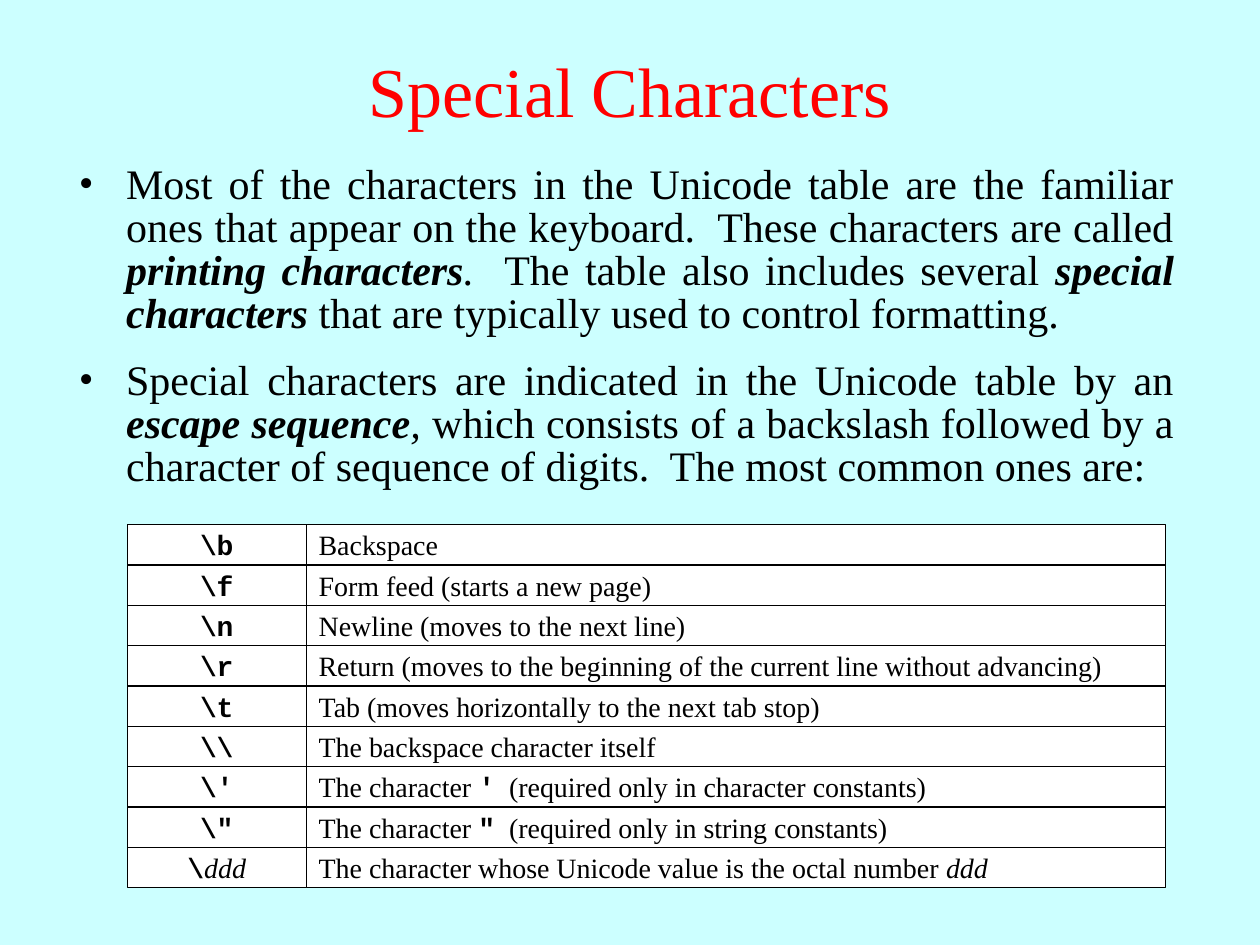
import pptx
import pptx.util
import pptx.dml.color
import pptx.enum.shapes
import pptx.enum.text
import pptx.oxml.ns
from lxml import etree

Pt = pptx.util.Pt
ALIGN = pptx.enum.text.PP_ALIGN
MIDDLE = pptx.enum.text.MSO_ANCHOR.MIDDLE
RECTANGLE = pptx.enum.shapes.MSO_SHAPE.RECTANGLE

SKY = pptx.dml.color.RGBColor(0xCC, 0xFF, 0xFF)
RED = pptx.dml.color.RGBColor(0xFF, 0, 0)
BLACK = pptx.dml.color.RGBColor(0, 0, 0)
WHITE = pptx.dml.color.RGBColor(0xFF, 0xFF, 0xFF)

SERIF = "Times New Roman"
MONO = "Courier New"

PLAIN = {}
CODE = {"name": MONO, "bold": True}
ITALIC = {"italic": True}
TERM = {"bold": True, "italic": True}

PRINTING = [
    ("Most of the characters in the Unicode table are the familiar ones that "
     "appear on the keyboard.  These characters are called ", PLAIN),
    ("printing characters", TERM),
    (".", ITALIC),
    ("  The table also includes several ", PLAIN),
    ("special characters", TERM),
    (" that are typically used to control formatting.", PLAIN),
]
ESCAPES = [
    ("Special characters are indicated in the Unicode table by an ", PLAIN),
    ("escape sequence", TERM),
    (",", ITALIC),
    (" which consists of a backslash followed by a character of sequence of "
     "digits.  The most common ones are:", PLAIN),
]
SEQUENCES = [
    ([("\\b", CODE)], [("Backspace", PLAIN)]),
    ([("\\f", CODE)], [("Form feed (starts a new page)", PLAIN)]),
    ([("\\n", CODE)], [("Newline (moves to the next line)", PLAIN)]),
    ([("\\r", CODE)],
     [("Return (moves to the beginning of the current line without advancing)", PLAIN)]),
    ([("\\t", CODE)], [("Tab (moves horizontally to the next tab stop)", PLAIN)]),
    ([("\\\\", CODE)], [("The backspace character itself", PLAIN)]),
    ([("\\'", CODE)],
     [("The character ", PLAIN), ("'", CODE),
      ("  (required only in character constants)", PLAIN)]),
    ([("\\\"", CODE)],
     [("The character ", PLAIN), ("\"", CODE),
      ("  (required only in string constants)", PLAIN)]),
    ([("\\", CODE), ("ddd", ITALIC)],
     [("The character whose Unicode value is the octal number ", PLAIN),
      ("ddd", ITALIC)]),
]


def write_runs(paragraph, pieces, size, color=BLACK):
    paragraph.font.size = Pt(size)
    paragraph.font.color.rgb = color
    paragraph.font.name = SERIF
    for text, style in pieces:
        run = paragraph.add_run()
        run.text = text
        for attribute, value in style.items():
            setattr(run.font, attribute, value)


def add_text_frame(slide, left, top, width, height):
    frame = slide.shapes.add_textbox(Pt(left), Pt(top), Pt(width), Pt(height)).text_frame
    frame.word_wrap = True
    return frame


def add_title(slide, left, top, width, height):
    frame = add_text_frame(slide, left, top, width, height)
    frame.vertical_anchor = MIDDLE
    title = frame.paragraphs[0]
    title.alignment = ALIGN.CENTER
    write_runs(title, [("Special Characters", PLAIN)], 40, RED)


def add_bullet(slide, pieces, left, top, width, height):
    point = add_text_frame(slide, left, top, width, height).paragraphs[0]
    point.alignment = ALIGN.JUSTIFY
    point.line_spacing = 0.85
    point.space_after = Pt(15)
    properties = point._p.get_or_add_pPr()
    properties.set("marL", str(Pt(27)))
    properties.set("indent", str(Pt(-27)))
    qn = pptx.oxml.ns.qn
    bullet_color = etree.SubElement(properties, qn("a:buClr"))
    etree.SubElement(bullet_color, qn("a:srgbClr"), val=str(BLACK))
    etree.SubElement(properties, qn("a:buFont"), typeface=SERIF)
    etree.SubElement(properties, qn("a:buChar"), char="•")
    write_runs(point, pieces, 24)


def add_cell(slide, pieces, alignment, left, top, width, height):
    cell = slide.shapes.add_shape(RECTANGLE, Pt(left), Pt(top), Pt(width), Pt(height))
    cell.shadow.inherit = False
    cell.fill.solid()
    cell.fill.fore_color.rgb = WHITE
    cell.line.color.rgb = BLACK
    cell.line.width = Pt(0.75)
    frame = cell.text_frame
    frame.word_wrap = False
    frame.vertical_anchor = MIDDLE
    paragraph = frame.paragraphs[0]
    paragraph.alignment = alignment
    write_runs(paragraph, pieces, 16)


def add_sequence_grid(slide, left, top, width, height):
    code_width = 102.25
    row_height = height / len(SEQUENCES)
    for row, (code, meaning) in enumerate(SEQUENCES):
        row_top = top + row * row_height
        add_cell(slide, code, ALIGN.CENTER, left, row_top, code_width, row_height)
        add_cell(slide, meaning, ALIGN.LEFT,
                 left + code_width, row_top, width - code_width, row_height)


def main():
    presentation = pptx.Presentation()
    presentation.slide_width = Pt(720)
    presentation.slide_height = Pt(540)
    slide = presentation.slides.add_slide(presentation.slide_layouts[6])
    slide.background.fill.solid()
    slide.background.fill.fore_color.rgb = SKY
    add_title(slide, 0, 6, 720, 90)
    add_bullet(slide, PRINTING, 38, 91, 640, 149)
    add_bullet(slide, ESCAPES, 38, 203, 640, 96)
    add_sequence_grid(slide, 72.75, 299.75, 593.25, 207.45)
    presentation.save("out.pptx")


if __name__ == "__main__":
    main()
